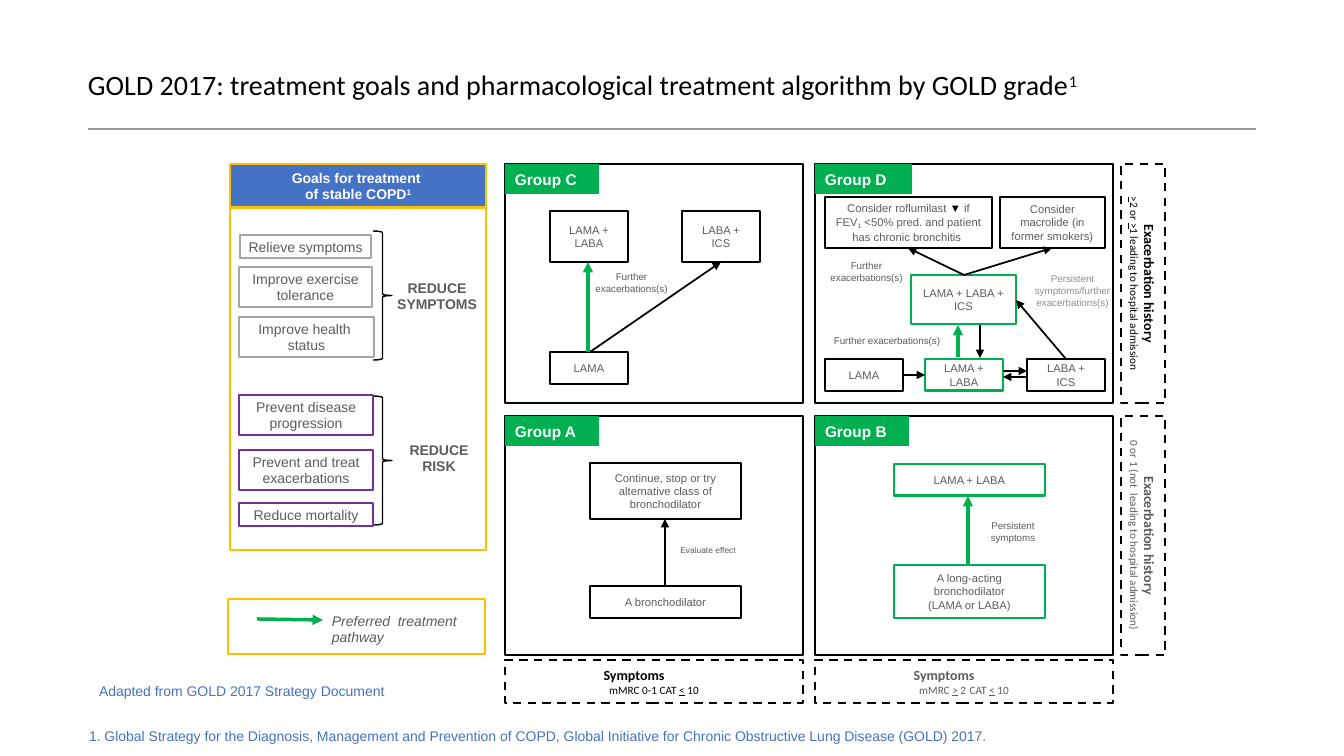
"""Build the GOLD 2017 treatment goals and algorithm slide."""
from dataclasses import dataclass, replace
from typing import NamedTuple, Optional

from lxml import etree
from pptx import Presentation, util as u
from pptx.dml.color import RGBColor
from pptx.enum import dml, shapes, text
from pptx.oxml.ns import qn

PX = 914400 / 100.8


class Theme:
    """Colours, fonts and type sizes."""
    BLACK, WHITE, TEXT, MUTED, RULE = "000000", "FFFFFF", "5C5C5C", "8E8E8E", "999999"
    GREEN, BLUE, GOLD, GREY, PURPLE = "00B050", "4472C4", "FFC000", "A5A5A5", "7030A0"
    SANS, HEAD = "Arial", "Calibri"
    TITLE, TAG, BODY, STEP, NOTE, TINY = 20, 11, 10, 8, 7, 6
    THIN, STEP_LINE, PANEL_LINE, KEY_LINE, KEY_ARROW = 1, 1.25, 1.5, 2, 2.5


@dataclass(frozen=True)
class Style:
    """Look of a box and its text; detail is the size of later paragraphs."""
    size: float = Theme.BODY
    color: str = Theme.TEXT
    font: str = Theme.SANS
    bold: bool = False
    italic: bool = False
    align: text.PP_ALIGN = text.PP_ALIGN.CENTER
    anchor: text.MSO_ANCHOR = text.MSO_ANCHOR.MIDDLE
    inset: tuple = (10, 5, 10, 5)
    line: Optional[str] = None
    weight: float = Theme.THIN
    fill: Optional[str] = None
    dash: bool = False
    vert: bool = False
    detail: Optional[float] = None
    space: float = 0


class Run(NamedTuple):
    """Text that differs from the rest of its paragraph."""
    text: str
    baseline: int = 0
    underline: bool = False
    color: Optional[str] = None


class Box(NamedTuple):
    """A styled box; paragraphs are strings or tuples of strings and runs."""
    x: int
    y: int
    w: int
    h: int
    style: Style
    paras: tuple = ()
    kind: shapes.MSO_SHAPE = shapes.MSO_SHAPE.RECTANGLE


class Arrow(NamedTuple):
    """A straight line with an optional head at its end."""
    x1: int
    y1: int
    x2: int
    y2: int
    color: str = Theme.BLACK
    weight: float = Theme.STEP_LINE
    head: bool = True


def emu(px: float) -> u.Emu:
    """Turn pixels into EMU."""
    return u.Emu(round(px * PX))


def rgb(color: str) -> RGBColor:
    """Turn a hex string into a colour."""
    return RGBColor.from_string(color)


def write(tf, paras: tuple, st: Style) -> None:
    """Fill a text frame with styled paragraphs."""
    tf.word_wrap, tf.auto_size, tf.vertical_anchor = True, text.MSO_AUTO_SIZE.NONE, st.anchor
    tf.margin_left, tf.margin_top, tf.margin_right, tf.margin_bottom = map(emu, st.inset)
    if st.vert:
        tf._txBody.bodyPr.set("vert", "vert")
    for i, para in enumerate(paras):
        p = tf.add_paragraph() if i else tf.paragraphs[0]
        p.alignment = st.align
        p.space_before = p.space_after = u.Pt(st.space)
        detail = i and st.detail
        f = p.font
        f.name, f.size, f.color.rgb = st.font, u.Pt(detail or st.size), rgb(st.color)
        f.bold, f.italic = st.bold and not detail, st.italic
        for part in (para,) if isinstance(para, str) else para:
            run = Run(part) if isinstance(part, str) else part
            r = p.add_run()
            r.text = run.text
            if run.baseline:
                r.font._rPr.set("baseline", str(run.baseline * 1000))
            if run.underline:
                r.font.underline = True
            if run.color:
                r.font.color.rgb = rgb(run.color)


def draw_box(s, b: Box) -> None:
    """Draw a box, as a text box when it has neither line nor fill."""
    st, at = b.style, map(emu, b[:4])
    if not (st.line or st.fill):
        sp = s.shapes.add_textbox(*at)
    else:
        sp = s.shapes.add_shape(b.kind, *at)
        sp.shadow.inherit = False
        sp.fill.background()
        sp.line.fill.background()
        if st.fill:
            sp.fill.solid()
            sp.fill.fore_color.rgb = rgb(st.fill)
        if st.line:
            sp.line.color.rgb, sp.line.width = rgb(st.line), u.Pt(st.weight)
        if st.dash:
            sp.line.dash_style = dml.MSO_LINE.DASH
    if b.paras:
        write(sp.text_frame, b.paras, st)


def draw_arrow(s, a: Arrow) -> None:
    """Draw a connector without a shadow."""
    c = s.shapes.add_connector(shapes.MSO_CONNECTOR.STRAIGHT, *map(emu, a[:4]))
    c.line.color.rgb, c.line.width = rgb(a.color), u.Pt(a.weight)
    if a.head:
        etree.SubElement(c.line._get_or_add_ln(), qn("a:tailEnd"), type="triangle")
    etree.SubElement(c._element.spPr, qn("a:effectLst"))


T = Theme
LEFT, TOP = text.PP_ALIGN.LEFT, text.MSO_ANCHOR.TOP
PANEL = Style(line=T.BLACK, weight=T.PANEL_LINE)
TAG = Style(T.TAG, T.WHITE, bold=True, align=LEFT, fill=T.GREEN)
STEP = Style(T.STEP, line=T.BLACK, weight=T.STEP_LINE)
KEY = replace(STEP, line=T.GREEN, weight=T.KEY_LINE)
NOTE = Style(T.NOTE, anchor=TOP)
FRAME = Style(line=T.GOLD)
GOALS = replace(FRAME, color=T.WHITE, bold=True, anchor=TOP, fill=T.BLUE)
GOAL = Style(inset=(3, 3, 3, 3), fill=T.WHITE, line=T.GREY)
RISK = replace(GOAL, line=T.PURPLE)
AIM = replace(GOAL, bold=True, fill=None, line=None)
BRACE = Style(line=T.BLACK)
AXIS = replace(PANEL, color=T.BLACK, font=T.HEAD, bold=True, dash=True, detail=T.STEP)
SOURCE = Style(color=T.BLUE, align=LEFT, anchor=TOP)
TITLE = Style(T.TITLE, T.BLACK, T.HEAD, align=LEFT, anchor=text.MSO_ANCHOR.BOTTOM, inset=(0, 5, 10, 5))
COLS, ROWS, PANEL_W, PANEL_H = (505, 815), (164, 416), 298, 239
GE, LE = Run(">", underline=True), Run("<", underline=True)
FURTHER = ("Further exacerbations(s)",)

GROUPS = [Box(x, y, *size, style, paras)
          for y, names in zip(ROWS, ("CD", "AB")) for x, name in zip(COLS, names)
          for size, style, paras in (((PANEL_W, PANEL_H), PANEL, ()),
                                     ((97 if name == "D" else 94, 30), TAG, (f"Group {name}",)))]
BRACES = [Box(373, y, 19, 129, BRACE, kind=shapes.MSO_SHAPE.RIGHT_BRACE) for y in (231, 396)]
BOXES = GROUPS + BRACES + [
    Box(1011, 268, 123, 45, replace(NOTE, color=T.MUTED), ("Persistent symptoms/further exacerbations(s)",)),
    Box(825, 197, 167, 51, STEP, (("Consider roflumilast ", Run("▼ ", color=T.BLACK), "if FEV", Run("1", -25),
                                   " <50% pred. and patient has chronic bronchitis "),)),
    Box(1000, 197, 105, 51, STEP, ("Consider macrolide (in former smokers)",)),
    Box(911, 275, 105, 49, KEY, ("LAMA + LABA + ICS",)),
    Box(825, 359, 78, 32, STEP, ("LAMA",)),
    Box(925, 359, 78, 32, KEY, ("LAMA + LABA",)),
    Box(1027, 359, 78, 32, STEP, ("LABA + ICS",)),
    Box(815, 255, 103, 34, NOTE, FURTHER),
    Box(816, 330, 142, 22, NOTE, FURTHER),
    Box(550, 352, 78, 32, STEP, ("LAMA",)),
    Box(550, 211, 78, 51, STEP, ("LAMA + LABA",)),
    Box(682, 211, 78, 51, STEP, ("LABA + ICS",)),
    Box(576, 266, 111, 34, NOTE, FURTHER),
    Box(894, 565, 151, 53, KEY, ("A long-acting bronchodilator", "(LAMA or LABA)")),
    Box(894, 464, 151, 32, KEY, ("LAMA + LABA",)),
    Box(974, 515, 78, 34, NOTE, ("Persistent symptoms",)),
    Box(590, 586, 151, 32, STEP, ("A bronchodilator",)),
    Box(590, 463, 151, 56, STEP, ("Continue, stop or try alternative class of bronchodilator",)),
    Box(669, 540, 78, 20, replace(NOTE, size=T.TINY), ("Evaluate effect",)),
    Box(230, 164, 256, 44, GOALS, ("Goals for treatment ", ("of stable COPD", Run("1", 30)))),
    Box(230, 207, 256, 343, FRAME),
    Box(240, 235, 131, 23, GOAL, ("Relieve symptoms",)),
    Box(239, 267, 133, 40, GOAL, ("Improve exercise tolerance",)),
    Box(239, 317, 135, 40, GOAL, ("Improve health ", "status")),
    Box(239, 395, 134, 40, RISK, ("Prevent disease progression",)),
    Box(239, 450, 134, 40, RISK, ("Prevent and treat exacerbations",)),
    Box(239, 503, 134, 23, RISK, ("Reduce mortality",)),
    Box(388, 276, 98, 40, AIM, ("REDUCE SYMPTOMS",)),
    Box(394, 438, 90, 40, AIM, ("REDUCE RISK",)),
    Box(228, 599, 257, 55, FRAME),
    Box(325, 608, 143, 41, Style(italic=True, align=LEFT, anchor=TOP, inset=(7, 4, 7, 4)),
        ("Preferred  treatment pathway",)),
    Box(89, 675, 1219, 74, replace(SOURCE, anchor=TITLE.anchor, inset=TITLE.inset, space=3.8),
        ("1. Global Strategy for the Diagnosis, Management and Prevention of COPD, "
         "Global Initiative for Chronic Obstructive Lung Disease (GOLD) 2017.",)),
    Box(89, 678, 320, 27, SOURCE, ("Adapted from GOLD 2017 Strategy Document",)),
    Box(1121, ROWS[0], 44, PANEL_H, replace(AXIS, vert=True),
        ("Exacerbation history", (GE, "2 or ", GE, "1 leading to hospital admission"))),
    Box(1121, ROWS[1], 44, PANEL_H, replace(AXIS, vert=True, color=T.TEXT),
        ("Exacerbation history", "0 or 1 (not  leading to hospital admission)")),
    Box(COLS[0], 660, PANEL_W, 43, AXIS, ("Symptoms\t", ("mMRC 0-1\tCAT ", LE, " 10"))),
    Box(COLS[1], 660, PANEL_W, 43, replace(AXIS, color=T.TEXT),
        ("Symptoms\t", ("mMRC ", GE, " 2\tCAT ", LE, " 10"))),
]
PREFERRED = ((588, 352, 588, 262), (968, 565, 968, 496), (958, 357, 958, 325), (257, 619, 323, 620))
OTHER = ((980, 325, 980, 358), (964, 275, 1052, 248), (964, 275, 908, 248), (1066, 359, 1016, 300),
         (590, 352, 721, 262), (665, 586, 665, 519), (902, 375, 925, 375), (1003, 371, 1027, 371),
         (1027, 377, 1003, 377))
ARROWS = [Arrow(88, 129, 1256, 129, T.RULE, T.THIN, False), *(Arrow(*a) for a in OTHER),
          *(Arrow(*a, T.GREEN, T.KEY_ARROW) for a in PREFERRED)]


def main() -> None:
    """Build and save the slide."""
    prs = Presentation()
    prs.slide_width, prs.slide_height = emu(1344), emu(756)
    s = prs.slides.add_slide(prs.slide_layouts[5])
    title = s.shapes.title
    title.left, title.top, title.width, title.height = map(emu, (88, 22, 1168, 85))
    write(title.text_frame, (("GOLD 2017: treatment goals and pharmacological treatment algorithm by GOLD grade",
                              Run("1", 30)),), TITLE)
    title.text_frame.paragraphs[0].line_spacing = 0.9
    for b in BOXES:
        draw_box(s, b)
    for a in ARROWS:
        draw_arrow(s, a)
    prs.save("out.pptx")


main()
